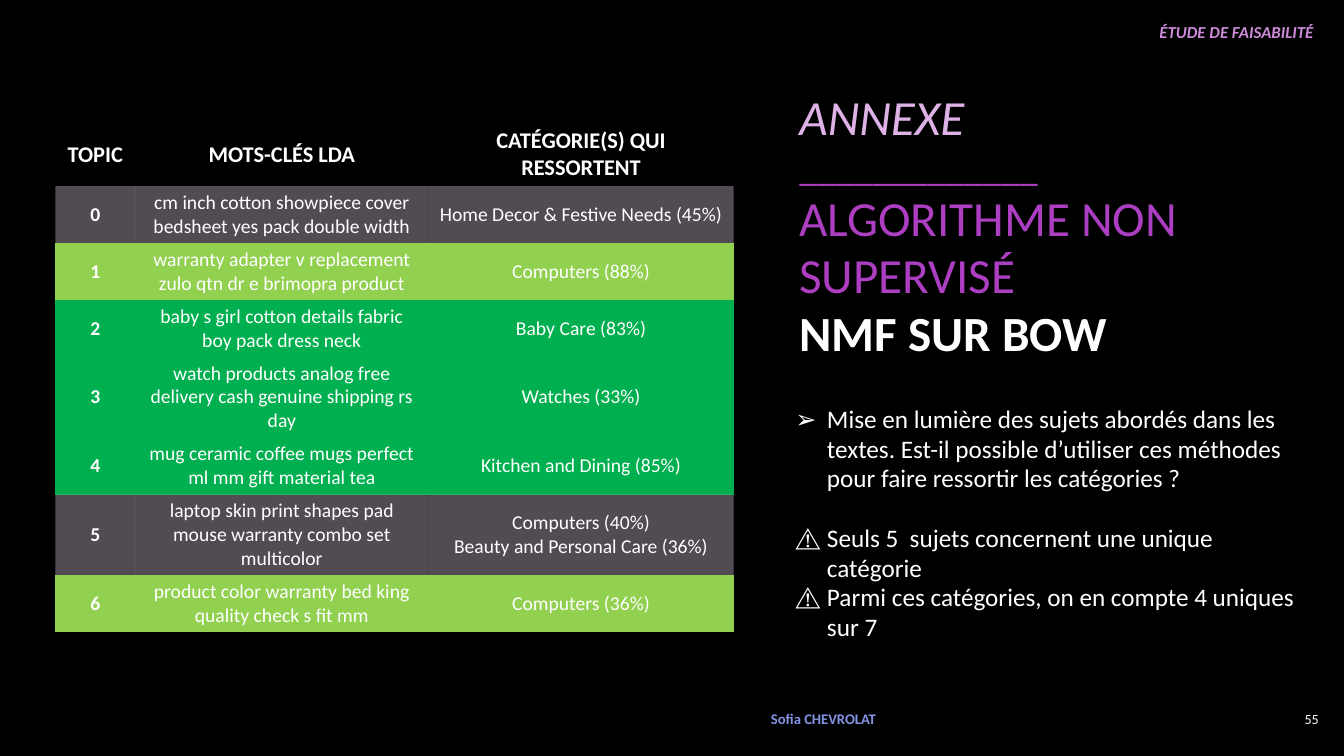
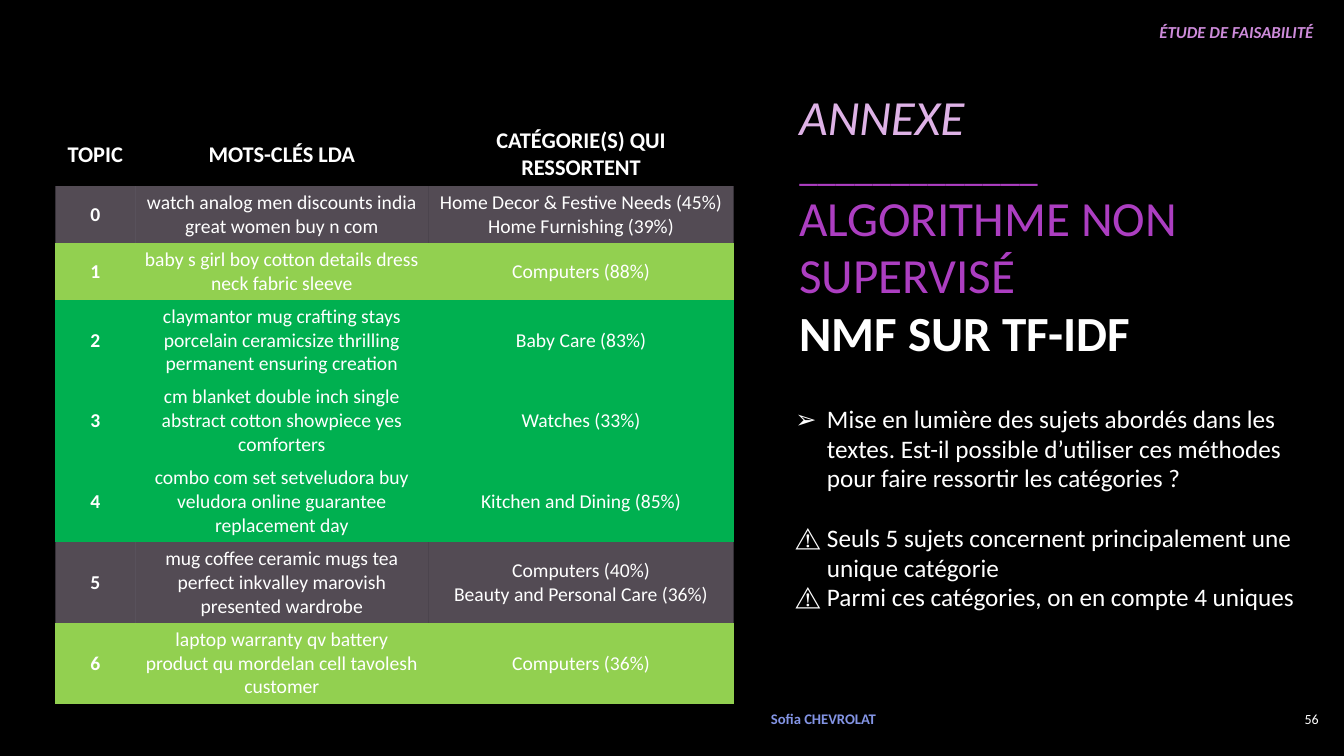
from dataclasses import dataclass

from lxml import etree
from pptx import Presentation
from pptx.dml.color import RGBColor
from pptx.enum.text import MSO_ANCHOR, MSO_AUTO_SIZE, PP_ALIGN
from pptx.oxml.ns import qn
from pptx.util import Pt

LEFT, CENTER, RIGHT = PP_ALIGN.LEFT, PP_ALIGN.CENTER, PP_ALIGN.RIGHT
TOP, MIDDLE = MSO_ANCHOR.TOP, MSO_ANCHOR.MIDDLE
NO_GRID_STYLE = "{2D5ABB26-0587-4C30-8999-92F81FD0307C}"


@dataclass(frozen=True)
class Theme:
    font: str = "Calibri"
    black: str = "000000"
    white: str = "FFFFFF"
    purple: str = "AC3EC1"
    lilac: str = "DEB2E6"
    orchid: str = "CD8BDA"
    blue: str = "8394E4"
    mixed: str = "EED8F3"
    light_green: str = "92D050"
    green: str = "00B050"
    mixed_opacity: int = 35
    title: float = 35.1
    rule: float = 26.3
    body: float = 18
    table_head: float = 16
    table_cell: float = 14
    section: float = 12
    author: float = 10.5
    number: float = 10
    spacing: float = 0.98


T = Theme()
COLUMNS = (57, 209.5, 218)
HEADERS = ("TOPIC", "MOTS-CLÉS LDA", "CATÉGORIE(S) QUI RESSORTENT")
HEADER_HEIGHT = 45
LINE_HEIGHT = 17
ROW_PADDING = 6.7
TOPIC_FILLS = (T.mixed, T.light_green, T.green, T.green, T.green,
               T.mixed, T.light_green)
CATEGORIES = (
    "Computers (88%)",
    "Baby Care (83%)",
    "Watches (33%)",
    "Kitchen and Dining (85%)",
    "Computers (40%)\nBeauty and Personal Care (36%)",
    "Computers (36%)",
)
QUESTION = ("Mise en lumière des sujets abordés dans les textes. Est-il possible "
            "d’utiliser ces méthodes pour faire ressortir les catégories ?")

SLIDES = (
    dict(
        number="55",
        method="NMF SUR BOW",
        first_category="Home Decor & Festive Needs (45%)",
        keywords=(
            (2, "cm inch cotton showpiece cover bedsheet yes pack double width"),
            (2, "warranty adapter v replacement zulo qtn dr e brimopra product"),
            (2, "baby s girl cotton details fabric boy pack dress neck"),
            (3, "watch products analog free delivery cash genuine shipping rs day"),
            (2, "mug ceramic coffee mugs perfect ml mm gift material tea"),
            (3, "laptop skin print shapes pad mouse warranty combo set multicolor"),
            (2, "product color warranty bed king quality check s fit mm"),
        ),
        warnings=(
            "Seuls 5  sujets concernent une unique catégorie",
            "Parmi ces catégories, on en compte 4 uniques sur 7",
        ),
    ),
    dict(
        number="56",
        method="NMF SUR TF-IDF",
        first_category="Home Decor & Festive Needs (45%)\nHome Furnishing (39%)",
        keywords=(
            (2, "watch analog men discounts india great women buy n com"),
            (2, "baby s girl boy cotton details dress neck fabric sleeve"),
            (3, "claymantor mug crafting stays porcelain ceramicsize thrilling "
                "permanent ensuring creation"),
            (3, "cm blanket double inch single abstract cotton showpiece yes "
                "comforters"),
            (3, "combo com set setveludora buy veludora online guarantee "
                "replacement day"),
            (3, "mug coffee ceramic mugs tea perfect inkvalley marovish "
                "presented wardrobe"),
            (3, "laptop warranty qv battery product qu mordelan cell tavolesh "
                "customer"),
        ),
        warnings=(
            "Seuls 5 sujets concernent principalement une unique catégorie",
            "Parmi ces catégories, on en compte 4 uniques",
        ),
    ),
)


def style_paragraph(p, size, color, bold=False, italic=False, align=LEFT):
    p.alignment = align
    for r in p.runs:
        r.font.name = T.font
        r.font.size = Pt(size)
        r.font.bold = bold
        r.font.italic = italic
        r.font.color.rgb = RGBColor.from_string(color)


def place(sp, left, top, width, height, anchor):
    sp.left, sp.top = Pt(left), Pt(top)
    sp.width, sp.height = Pt(width), Pt(height)
    tf = sp.text_frame
    tf.word_wrap = True
    tf.auto_size = MSO_AUTO_SIZE.NONE
    tf.vertical_anchor = anchor
    return tf


def add_label(s, text, box, size, color, anchor=MIDDLE, **style):
    sp = s.shapes.add_textbox(0, 0, 0, 0)
    tf = place(sp, *box, anchor)
    tf.text = text
    style_paragraph(tf.paragraphs[0], size, color, **style)


def add_bullet(p, char):
    pPr = p._p.get_or_add_pPr()
    pPr.set("marL", str(Pt(22.5)))
    pPr.set("indent", str(-Pt(22.5)))
    etree.SubElement(pPr, qn("a:buChar")).set("char", char)


def fill_title(s, method):
    tf = place(s.shapes.title, 563.8, 51.5, 363.6, 220, MIDDLE)
    lines = (
        ("ANNEXE", T.title, T.lilac, False, True),
        ("_____________", T.rule, T.purple, False, False),
        ("ALGORITHME NON SUPERVISÉ", T.title, T.purple, False, False),
        (method, T.title, T.white, True, False),
    )
    tf.text = "\n".join(line[0] for line in lines)
    for p, (_, size, color, bold, italic) in zip(tf.paragraphs, lines):
        p.line_spacing = T.spacing
        style_paragraph(p, size, color, bold, italic)


def fill_body(s, warnings):
    tf = place(s.placeholders[1], 561, 285.5, 376.5, 220, TOP)
    tf.text = "\n".join((QUESTION, *warnings))
    for i, p in enumerate(tf.paragraphs):
        add_bullet(p, "⚠️" if i else "➢")
        p.line_spacing = T.spacing
        p.space_before = Pt(21.6 if i == 1 else 0)
        style_paragraph(p, T.body, T.white)


def fill_cell(cell, text, size, bold, color=None):
    cell.margin_left = cell.margin_right = Pt(6.5)
    cell.margin_top = cell.margin_bottom = Pt(3)
    cell.vertical_anchor = MIDDLE
    cell.text = text
    for p in cell.text_frame.paragraphs:
        style_paragraph(p, size, T.white, bold, align=CENTER)
    if color is None:
        cell.fill.background()
        return
    cell.fill.solid()
    cell.fill.fore_color.rgb = RGBColor.from_string(color)
    if color == T.mixed:
        clr = cell._tc.tcPr.find(".//" + qn("a:srgbClr"))
        etree.SubElement(clr, qn("a:alpha")).set("val", str(T.mixed_opacity * 1000))


def add_topic_table(s, keywords, first_category):
    heights = [HEADER_HEIGHT]
    heights += [n * LINE_HEIGHT + ROW_PADDING for n, _ in keywords]
    frame = s.shapes.add_table(len(heights), len(COLUMNS), Pt(39.6), Pt(87.8),
                               Pt(sum(COLUMNS)), Pt(sum(heights)))
    table = frame.table
    table.first_row = table.horz_banding = False
    table._tbl.tblPr.find(qn("a:tableStyleId")).text = NO_GRID_STYLE
    for column, width in zip(table.columns, COLUMNS):
        column.width = Pt(width)
    for row, height in zip(table.rows, heights):
        row.height = Pt(height)
    for c, text in enumerate(HEADERS):
        fill_cell(table.cell(0, c), text, T.table_head, True)
    rows = zip(keywords, (first_category, *CATEGORIES), TOPIC_FILLS)
    for topic, ((_, words), category, color) in enumerate(rows):
        for c, text in enumerate((str(topic), words, category)):
            fill_cell(table.cell(topic + 1, c), text, T.table_cell, c == 0, color)


def add_topic_slide(prs, number, method, first_category, keywords, warnings):
    s = prs.slides.add_slide(prs.slide_layouts[1])
    fill_title(s, method)
    fill_body(s, warnings)
    add_topic_table(s, keywords, first_category)
    add_label(s, "ÉTUDE DE FAISABILITÉ", (552.2, 12.2, 393.2, 21.8), T.section,
              T.orchid, TOP, bold=True, italic=True, align=RIGHT)
    add_label(s, "Sofia CHEVROLAT", (543.6, 498.5, 126.7, 29.5), T.author,
              T.blue, bold=True)
    add_label(s, number, (905.8, 498.5, 43.2, 29.5), T.number, T.white, align=RIGHT)


def main():
    prs = Presentation()
    prs.slide_width, prs.slide_height = Pt(960), Pt(540)
    background = prs.slide_master.background.fill
    background.solid()
    background.fore_color.rgb = RGBColor.from_string(T.black)
    for content in SLIDES:
        add_topic_slide(prs, **content)
    prs.save("out.pptx")


if __name__ == "__main__":
    main()
